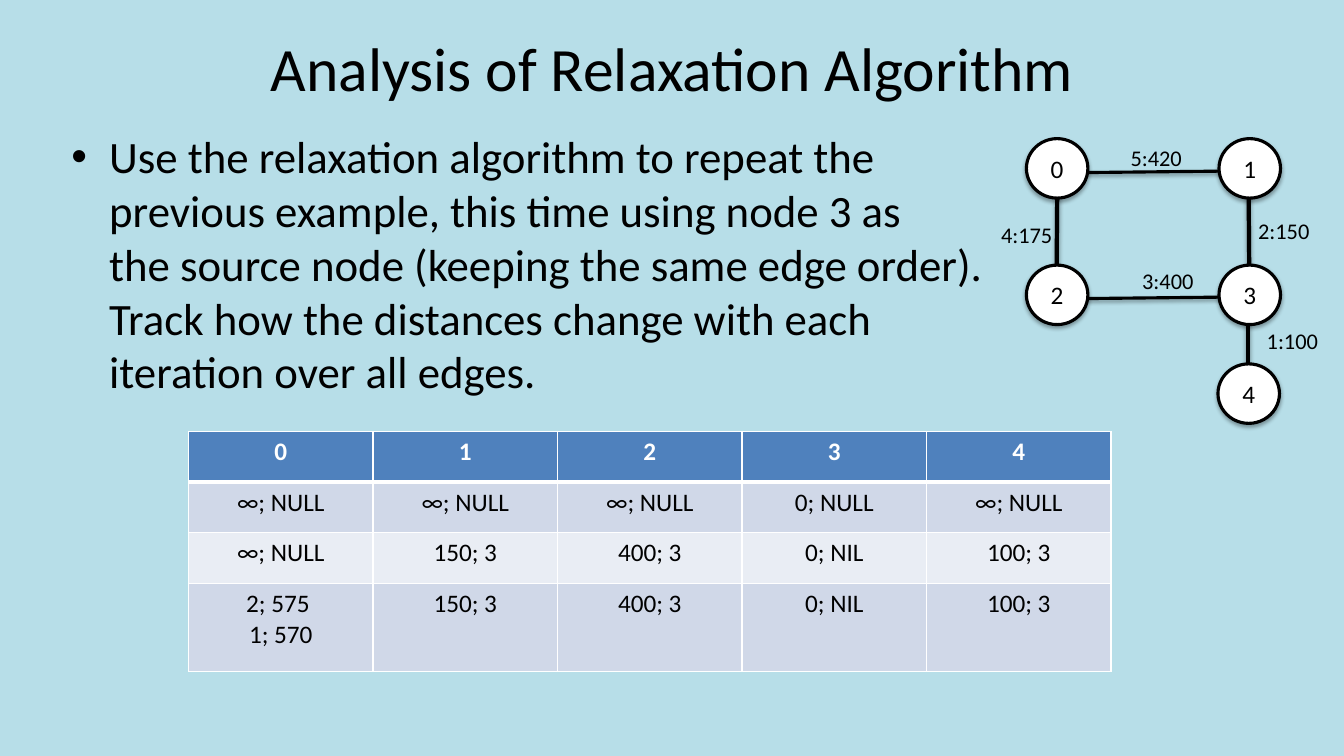
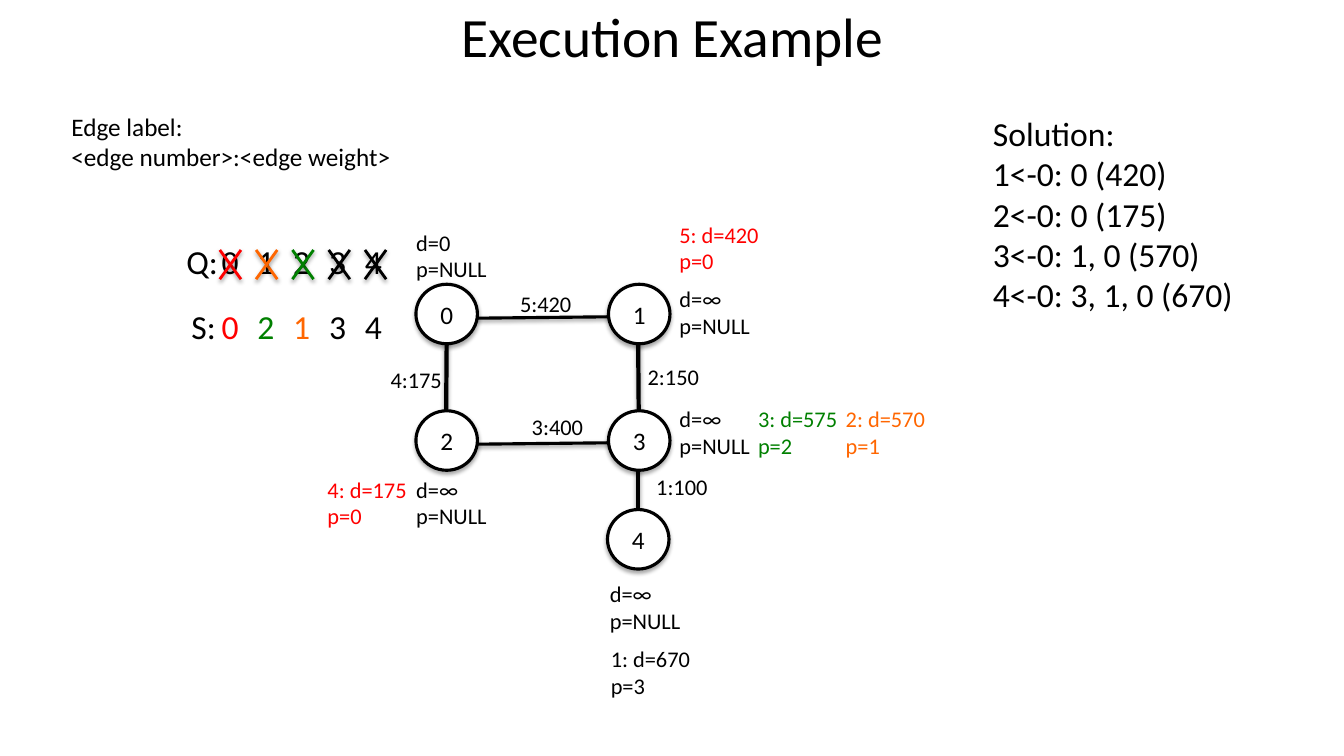
from lxml.etree import SubElement
from pptx import Presentation
from pptx.dml.color import RGBColor
from pptx.enum.shapes import MSO_CONNECTOR, MSO_SHAPE
from pptx.enum.text import MSO_ANCHOR, MSO_AUTO_SIZE, PP_ALIGN
from pptx.oxml.ns import qn
from pptx.util import Inches, Pt

# Shared style; grid of square cells, ten to the inch
CELL = Inches(0.1)
FONT = "Calibri"
BLACK, WHITE, SKY = "000000", "FFFFFF", "B7DEE8"
RED, GREEN, ORANGE = "FF0000", "008000", "FF6600"
HEADER, BAND, PALE = "4F81BD", "D0D8E8", "E9EDF4"
SMALL, NORMAL, LARGE, BODY = 16, 18, 24, 32

# The graph, measured from the top left corner of node 0
NODE_WIDTH, NODE_HEIGHT = 6.1, 5.9
NODES = {"0": (0, 0), "1": (19.1, 0), "2": (0, 12.55),
         "3": (19.1, 12.55), "4": (19, 22.35)}
EDGES = [((22, 0.15), (22.1, 12.55), 3), ((3.1, 0), (3, 12.55), 3),
         ((3.1, 3.4), (22, 3.2), 2.25), ((3.1, 15.9), (22, 15.7), 2.25),
         ((22, 15.7), (22, 25.4), 3)]
EDGE_LABELS = {"5:420": (9.35, 0.05), "2:150": (22, 7.3), "1:100": (22.85, 18.2),
               "3:400": (10.5, 12.3), "4:175": (-3.5, 7.65)}


def colour(code):
    return RGBColor.from_string(code)


def grid(cells):
    return round(cells * CELL)


class SlideWriter:
    def __init__(self):
        self.deck = Presentation()
        self.deck.slide_width = Inches(13.33)
        self.deck.slide_height = Inches(7.5)
        self.page = None

    def new_page(self, background):
        self.page = self.deck.slides.add_slide(self.deck.slide_layouts[6])
        fill = self.page.background.fill
        fill.solid()
        fill.fore_color.rgb = colour(background)

    def span(self, para, text, size, code=BLACK, bold=False):
        span = para.add_run()
        span.text = text
        span.font.name = FONT
        span.font.size = Pt(size)
        span.font.bold = bold
        span.font.color.rgb = colour(code)

    def fill_frame(self, frame, lines, size, code=BLACK, align=None, bold=False):
        for index, line in enumerate(lines):
            para = frame.add_paragraph() if index else frame.paragraphs[0]
            para.alignment = align
            self.span(para, line, size, code, bold)

    def text_box(self, left, top, width, height, wrap=True):
        box = self.page.shapes.add_textbox(*map(grid, (left, top, width, height)))
        box.text_frame.word_wrap = wrap
        return box.text_frame

    def title(self, text, top, height, size):
        frame = self.text_box(21.7, top, 90, height)
        frame.vertical_anchor = MSO_ANCHOR.MIDDLE
        self.fill_frame(frame, [text], size, align=PP_ALIGN.CENTER)

    def bullet(self, lines, left, top, width, height):
        para = self.text_box(left, top, width, height).paragraphs[0]
        for index, line in enumerate(lines):
            if index:
                para.add_line_break()
            self.span(para, line, BODY)
        properties = para._p.get_or_add_pPr()
        properties.set("marL", str(grid(3.75)))
        properties.set("indent", str(-grid(3.75)))
        SubElement(properties, qn("a:buFont"), typeface="Arial")
        SubElement(properties, qn("a:buChar"), char="•")

    def label(self, lines, left, top, width, height, size=SMALL, code=BLACK, wrap=False):
        frame = self.text_box(left, top, width, height, wrap)
        frame.auto_size = MSO_AUTO_SIZE.SHAPE_TO_FIT_TEXT
        self.fill_frame(frame, lines, size, code)

    def state(self, lines, left, top, code=BLACK):
        width = 10 if ":" in lines[0] else 9.1
        self.label(lines, left, top, width, 6.4, code=code)

    def shadow(self, shape, distance, alpha):
        effects = SubElement(shape._element.spPr, qn("a:effectLst"))
        outer = SubElement(effects, qn("a:outerShdw"), blurRad=str(Pt(3.1)),
                           dist=str(Pt(distance)), dir="5400000", rotWithShape="0")
        tint = SubElement(outer, qn("a:srgbClr"), val=BLACK)
        SubElement(tint, qn("a:alpha"), val=str(alpha * 1000))

    def line(self, start, end, width, code=BLACK):
        line = self.page.shapes.add_connector(
            MSO_CONNECTOR.STRAIGHT, *map(grid, (*start, *end)))
        line.line.color.rgb = colour(code)
        line.line.width = Pt(width)
        self.shadow(line, 1.6, 38)

    def cross(self, left, top, code):
        right, bottom = left + 2.1, top + 2.9
        self.line((left, top), (right, bottom), 2, code)
        self.line((right, top), (left, bottom), 2, code)

    def node(self, text, left, top):
        node = self.page.shapes.add_shape(
            MSO_SHAPE.OVAL, *map(grid, (left, top, NODE_WIDTH, NODE_HEIGHT)))
        node.fill.solid()
        node.fill.fore_color.rgb = colour(WHITE)
        node.line.color.rgb = colour(BLACK)
        node.line.width = Pt(2.25)
        self.shadow(node, 1.8, 35)
        frame = node.text_frame
        frame.margin_left = frame.margin_right = 0
        frame.vertical_anchor = MSO_ANCHOR.MIDDLE
        self.fill_frame(frame, [text], NORMAL, align=PP_ALIGN.CENTER)

    def graph(self, left, top):
        for start, end, width in EDGES:
            self.line((left + start[0], top + start[1]),
                      (left + end[0], top + end[1]), width)
        for text, (across, down) in NODES.items():
            self.node(text, left + across, top + down)
        for text, (across, down) in EDGE_LABELS.items():
            self.label([text], left + across, top + down, 7.2, 3.7)

    def cell_borders(self, cell, top, bottom):
        properties = cell._tc.get_or_add_tcPr()
        for side, width in (("L", 1), ("R", 1), ("T", top), ("B", bottom)):
            border = SubElement(properties, qn(f"a:ln{side}"), w=str(Pt(width)))
            fill = SubElement(border, qn("a:solidFill"))
            SubElement(fill, qn("a:srgbClr"), val=WHITE)

    def table(self, rows, left, top, column_width, heights):
        count = len(rows[0])
        table = self.page.shapes.add_table(
            len(rows), count, *map(grid, (left, top, column_width * count, sum(heights)))).table
        table.horz_banding = False
        for column in table.columns:
            column.width = grid(column_width)
        for number, (texts, height) in enumerate(zip(rows, heights)):
            table.rows[number].height = grid(height)
            is_header = number == 0
            shade = HEADER if is_header else BAND if number % 2 else PALE
            for index, text in enumerate(texts):
                cell = table.cell(number, index)
                self.cell_borders(cell, 3 if number == 1 else 1, 3 if is_header else 1)
                cell.fill.solid()
                cell.fill.fore_color.rgb = colour(shade)
                self.fill_frame(cell.text_frame, text.split("\n"), NORMAL,
                                WHITE if is_header else BLACK, PP_ALIGN.CENTER, is_header)


def relaxation_slide(writer):
    writer.new_page(SKY)
    writer.title("Analysis of Relaxation Algorithm", 0.4, 12.5, 44)
    writer.bullet(["Use the relaxation algorithm to repeat the",
                   "previous example, this time using node 3 as",
                   "the source node (keeping the same edge order).",
                   "Track how the distances change with each",
                   "iteration over all edges."], 6.1, 12.3, 120, 60.2)
    writer.graph(101.8, 13.75)

    # Distances after each iteration
    writer.table([["0", "1", "2", "3", "4"],
                  ["∞; NULL", "∞; NULL", "∞; NULL", "0; NULL", "∞; NULL"],
                  ["∞; NULL", "150; 3", "400; 3", "0; NIL", "100; 3"],
                  ["2; 575 \n1; 570", "150; 3", "400; 3", "0; NIL", "100; 3"]],
                 18.7, 42.8, 18.3, [5.03, 5.03, 5.03, 8.7])


def execution_slide(writer):
    writer.new_page(WHITE)
    writer.title("Execution Example", -0.3, 7.6, 39.6)
    writer.graph(41.25, 28.2)

    # Distance and predecessor of each node, first unknown, then updated
    writer.state(["d=0", "p=NULL"], 40.3, 22.2)
    for left, top in ((66.4, 27.8), (66.4, 39.7), (59.5, 57.1), (40.3, 46.7)):
        writer.state(["d=∞", "p=NULL"], left, top)
    for distance, previous, left, top, code in (
            ("1: d=670", "p=3", 59.6, 63.5, BLACK),
            ("3: d=575", "p=2", 74.2, 39.7, GREEN),
            ("2: d=570", "p=1", 82.9, 39.7, ORANGE),
            ("5: d=420", "p=0", 66.4, 21.4, RED),
            ("4: d=175", "p=0", 31.5, 46.7, RED)):
        writer.state([distance, previous], left, top, code)

    # Legend and solution
    writer.label(["Edge label:", "<edge number>:<edge weight>"],
                 6.1, 10.5, 34.1, 7.1, NORMAL)
    writer.label(["Solution:", "1<-0: 0 (420)", "2<-0: 0 (175)", "3<-0: 1, 0 (570)",
                  "4<-0: 3, 1, 0 (670)"], 97.5, 10.7, 28.2, 21.2, LARGE, wrap=True)

    # Queue and settled nodes, in the order they were taken
    queue_top, settled_top = 23.4, 29.9
    writer.label(["S:"], 18, settled_top, 5.2, 5, LARGE)
    writer.label(["Q:"], 17.5, queue_top, 5.9, 5, LARGE)
    code_of = {"0": RED, "1": ORANGE, "2": GREEN, "3": BLACK, "4": BLACK}
    for index, (queued, settled) in enumerate(zip("01234", "02134")):
        left = 21 + 3.55 * index
        writer.label([queued], left, queue_top, 4.5, 5, LARGE)
        writer.label([settled], left, settled_top, 4.5, 5, LARGE, code_of[settled])
        writer.cross(21.8 + 3.6 * index, 24.8, code_of[queued])


def main():
    writer = SlideWriter()
    relaxation_slide(writer)
    execution_slide(writer)
    writer.deck.save("out.pptx")


if __name__ == "__main__":
    main()
